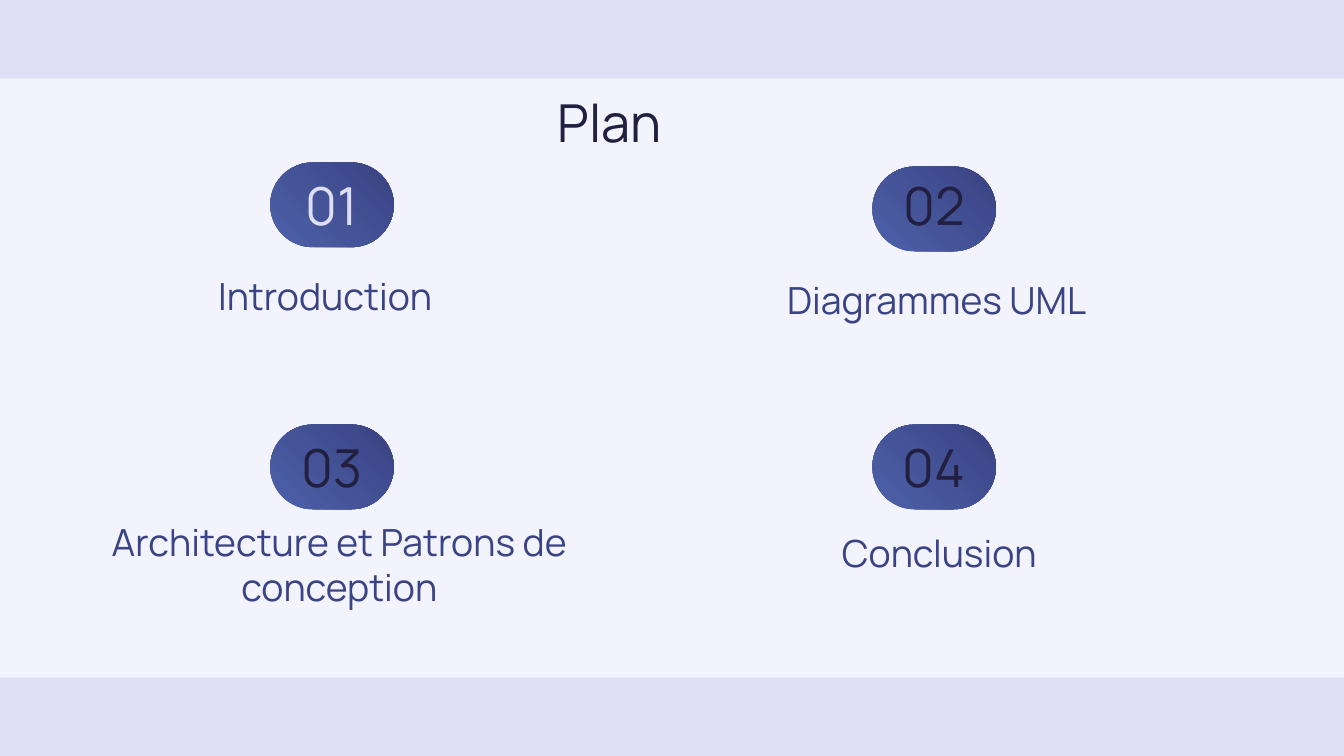
from typing import NamedTuple

from pptx import Presentation
from pptx.dml.color import RGBColor
from pptx.enum.shapes import MSO_SHAPE as Preset
from pptx.enum.text import MSO_ANCHOR as Anchor, MSO_AUTO_SIZE as AutoSize, PP_ALIGN as Align
from pptx.util import Inches, Pt

COLORS = {
    "background": "F2F3FD",
    "band": "DEDFF5",
    "ink": "231F40",
    "indigo": "3A4383",
    "blue": "4D61A9",
}
FONT = "Manrope"

# The slide is a grid of square cells, 100 columns wide
SLIDE_WIDTH, SLIDE_HEIGHT = Inches(10), Inches(5.625)
COLUMNS = 100
CELL = SLIDE_WIDTH / COLUMNS
ROWS = SLIDE_HEIGHT / CELL

BAND_HEIGHT = 5.83
PILL_COLUMNS, PILL_ROWS = (20.1, 64.9), (12.1, 31.6)
PILL_WIDTH, PILL_HEIGHT = 9.2, 6.3
NUMBER_OFFSET, NUMBER_HEIGHT = 1.3, 3.7


class Box(NamedTuple):
    left: float
    top: float
    width: float
    height: float

    def lengths(self) -> list[int]:
        return [round(value * CELL) for value in self]


class Topic(NamedTuple):
    label: str
    label_box: Box
    number_color: str = "ink"
    pill_shift: float = 0


TOPICS = [
    Topic("Introduction", Box(11.4, 19.6, 25.6, 4.8), number_color="band"),
    Topic("Diagrammes UML", Box(52.4, 19.9, 34.6, 4.8), pill_shift=0.3),
    Topic("Architecture et Patrons de conception", Box(5.9, 39.5, 38.7, 4.9)),
    Topic("Conclusion", Box(57.1, 38.7, 25.6, 4.8)),
]


def rgb(name: str) -> RGBColor:
    return RGBColor.from_string(COLORS[name])


def write_text(shape, text: str, *, size: int, color: str) -> None:
    frame = shape.text_frame
    frame.word_wrap = True
    frame.auto_size = AutoSize.NONE
    frame.vertical_anchor = Anchor.MIDDLE
    frame.margin_left = frame.margin_right = Inches(0.1)
    frame.margin_top = frame.margin_bottom = Inches(0.1)
    paragraph = frame.paragraphs[0]
    paragraph.alignment = Align.CENTER
    run = paragraph.add_run()
    run.text = text
    run.font.name = FONT
    run.font.size = Pt(size)
    run.font.color.rgb = rgb(color)


def add_text(slide, box: Box, text: str, *, size: int, color: str) -> None:
    write_text(slide.shapes.add_textbox(*box.lengths()), text, size=size, color=color)


def add_plain_shape(slide, preset: Preset, box: Box):
    shape = slide.shapes.add_shape(preset, *box.lengths())
    shape.shadow.inherit = False
    shape.line.fill.background()
    return shape


def add_band(slide, top: float) -> None:
    band = add_plain_shape(slide, Preset.RECTANGLE, Box(0, top, COLUMNS, BAND_HEIGHT))
    band.fill.solid()
    band.fill.fore_color.rgb = rgb("band")


def add_pill(slide, left: float, top: float) -> None:
    pill = add_plain_shape(slide, Preset.ROUNDED_RECTANGLE, Box(left, top, PILL_WIDTH, PILL_HEIGHT))
    pill.adjustments[0] = 0.5
    pill.fill.gradient()
    pill.fill.gradient_angle = 45
    for stop, color, position in zip(pill.fill.gradient_stops, ("blue", "indigo"), (0, 1)):
        stop.color.rgb = rgb(color)
        stop.position = position


def add_topic(slide, index: int, topic: Topic) -> None:
    row, column = divmod(index, len(PILL_COLUMNS))
    left, top = PILL_COLUMNS[column], PILL_ROWS[row]
    add_pill(slide, left, top + topic.pill_shift)
    number_box = Box(left, top + NUMBER_OFFSET, PILL_WIDTH, NUMBER_HEIGHT)
    add_text(slide, number_box, f"{index + 1:02}", size=28, color=topic.number_color)
    add_text(slide, topic.label_box, topic.label, size=20, color="indigo")


def main() -> None:
    presentation = Presentation()
    presentation.slide_width, presentation.slide_height = SLIDE_WIDTH, SLIDE_HEIGHT
    slide = presentation.slides.add_slide(presentation.slide_layouts[5])
    slide.background.fill.solid()
    slide.background.fill.fore_color.rgb = rgb("background")

    # Bands along the top and bottom edges
    for top in (0, ROWS - BAND_HEIGHT):
        add_band(slide, top)

    # Title
    title = slide.shapes.title
    title.left, title.top, title.width, title.height = Box(7.9, 5.9, 74.9, 6.3).lengths()
    write_text(title, "Plan", size=28, color="ink")

    # Numbered topics
    for index, topic in enumerate(TOPICS):
        add_topic(slide, index, topic)

    presentation.save("out.pptx")


if __name__ == "__main__":
    main()
